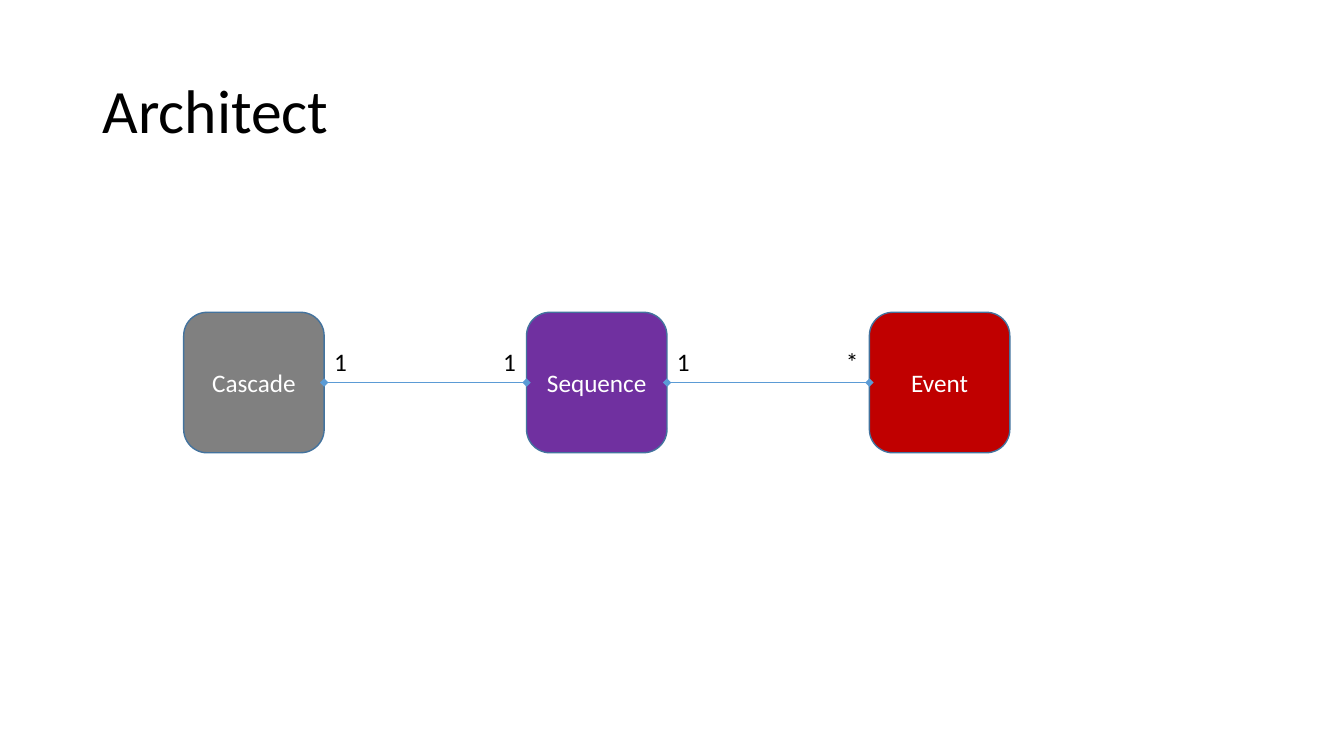
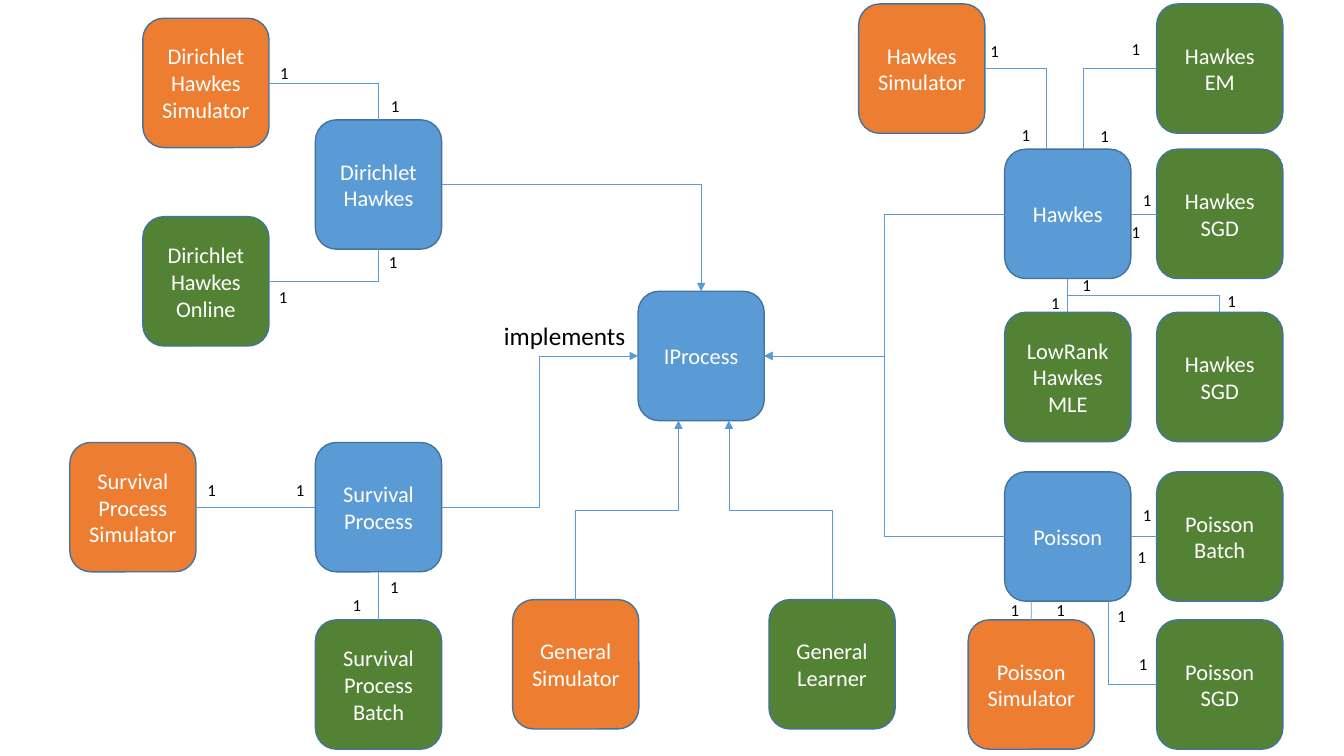
"""Build two slides: a class chain and a map of point process implementations."""
from pptx import Presentation
from pptx.dml.color import RGBColor
from pptx.enum.shapes import MSO_CONNECTOR, MSO_SHAPE
from pptx.enum.text import MSO_ANCHOR, MSO_AUTO_SIZE, PP_ALIGN
from pptx.oxml.ns import qn
from pptx.util import Cm, Pt
from lxml.etree import SubElement

FONT = "Calibri"
COLORS = {
    "process": "5B9BD5", "simulator": "ED7D31", "learner": "548235",
    "cascade": "808080", "sequence": "7030A0", "event": "C00000",
    "outline": "43739E", "link": "5B9BD5", "text": "000000", "box text": "FFFFFF",
}


def add_box(slide, text, left, top, width, height, color, size):
    """Add a rounded box with centred text."""
    box = slide.shapes.add_shape(
        MSO_SHAPE.ROUNDED_RECTANGLE, Cm(left), Cm(top), Cm(width), Cm(height))
    box.shadow.inherit = False
    box.fill.solid()
    box.fill.fore_color.rgb = RGBColor.from_string(COLORS[color])
    box.line.color.rgb = RGBColor.from_string(COLORS["outline"])
    box.line.width = Pt(1)
    box.text_frame.text = text
    box.text_frame.word_wrap = True
    box.text_frame.vertical_anchor = MSO_ANCHOR.MIDDLE
    for paragraph in box.text_frame.paragraphs:
        paragraph.alignment = PP_ALIGN.CENTER
        for run in paragraph.runs:
            run.font.name = FONT
            run.font.size = Pt(size)
            run.font.color.rgb = RGBColor.from_string(COLORS["box text"])


def add_link(slide, start, end, route="straight", head=None, tail=None):
    """Link two points: straight, corner, across (bend midway) or upright (turned across)."""
    (x1, y1), (x2, y2) = start, end
    turn = 1 if (x2 - x1) * (y2 - y1) <= 0 else -1
    if route == "upright":
        middle_x, middle_y = (x1 + x2) / 2, (y1 + y2) / 2
        half_x, half_y = turn * (y2 - y1) / 2, -turn * (x2 - x1) / 2
        x1, x2 = middle_x - half_x, middle_x + half_x
        y1, y2 = middle_y - half_y, middle_y + half_y
    kind = MSO_CONNECTOR.STRAIGHT if route == "straight" else MSO_CONNECTOR.ELBOW
    link = slide.shapes.add_connector(kind, Cm(x1), Cm(y1), Cm(x2), Cm(y2))
    link.line.color.rgb = RGBColor.from_string(COLORS["link"])
    link.line.width = Pt(0.5)
    properties = link._element.spPr
    if route == "corner":
        properties.find(qn("a:prstGeom")).set("prst", "bentConnector2")
    if route == "upright":
        properties.find(qn("a:xfrm")).set("rot", str(turn * 90 % 360 * 60000))
    for tag, arrow in (("a:headEnd", head), ("a:tailEnd", tail)):
        if arrow:
            SubElement(properties.find(qn("a:ln")), qn(tag), type=arrow)
    SubElement(properties, qn("a:effectLst"))


presentation = Presentation()
presentation.slide_width = Cm(33.87)
presentation.slide_height = Cm(19.05)

chain_slide = presentation.slides.add_slide(presentation.slide_layouts[5])
title = chain_slide.shapes.title
title.left, title.top, title.width, title.height = Cm(2.33), Cm(1.01), Cm(29.21), Cm(3.68)
title.text_frame.text = "Architect"
title.text_frame.vertical_anchor = MSO_ANCHOR.MIDDLE
title_paragraph = title.text_frame.paragraphs[0]
title_paragraph.alignment = PP_ALIGN.LEFT
title_paragraph.line_spacing = 0.9
title_font = title_paragraph.runs[0].font
title_font.name = FONT
title_font.size = Pt(44)
title_font.color.rgb = RGBColor.from_string(COLORS["text"])

labels = []
CHAIN_LEFT, CHAIN_TOP, CHAIN_SIDE, CHAIN_STEP = 4.63, 7.87, 3.54, 8.64
for index, name in enumerate(("Cascade", "Sequence", "Event")):
    add_box(chain_slide, name, CHAIN_LEFT + index * CHAIN_STEP, CHAIN_TOP,
            CHAIN_SIDE, CHAIN_SIDE, name.lower(), 18)
for index, (near, far) in enumerate((("1", "1"), ("1", "*"))):
    start = CHAIN_LEFT + index * CHAIN_STEP + CHAIN_SIDE
    end = CHAIN_LEFT + (index + 1) * CHAIN_STEP
    middle = CHAIN_TOP + CHAIN_SIDE / 2
    add_link(chain_slide, (start, middle), (end, middle), head="diamond", tail="diamond")
    labels.append((chain_slide, near, start, 8.61, 0.84, 1.02, 18))
    labels.append((chain_slide, far, end - 0.84, 8.61, 0.84, 1.02, 18))

map_slide = presentation.slides.add_slide(presentation.slide_layouts[6])
WIDTH, HEIGHT = 3.18, 3.26
nodes = {
    "interface": ("IProcess", 16.08, 7.34, "process"),
    "hawkes": ("Hawkes", 25.32, 3.76, "process"),
    "poisson": ("Poisson", 25.32, 11.89, "process"),
    "survival": ("Survival\nProcess", 7.95, 11.15, "process"),
    "dirichlet": ("Dirichlet Hawkes", 7.95, 3.02, "process"),
    "general simulator": ("General Simulator", 12.92, 15.11, "simulator"),
    "general learner": ("General Learner", 19.38, 15.11, "learner"),
    "dirichlet online": ("Dirichlet\nHawkes\vOnline", 3.6, 5.46, "learner"),
    "dirichlet simulator": ("Dirichlet Hawkes\vSimulator", 3.6, 0.46, "simulator"),
    "hawkes em": ("Hawkes\vEM", 29.15, 0.1, "learner"),
    "hawkes sgd": ("Hawkes\vSGD", 29.15, 3.76, "learner"),
    "hawkes lower sgd": ("Hawkes\vSGD", 29.15, 7.87, "learner"),
    "hawkes mle": ("LowRank Hawkes\vMLE", 25.32, 7.87, "learner"),
    "hawkes simulator": ("Hawkes\vSimulator", 21.64, 0.1, "simulator"),
    "poisson batch": ("Poisson\vBatch", 29.15, 11.89, "learner"),
    "poisson simulator": ("Poisson\vSimulator", 24.4, 15.62, "simulator"),
    "poisson sgd": ("Poisson\vSGD", 29.15, 15.62, "learner"),
    "survival batch": ("Survival\nProcess\vBatch", 7.95, 15.62, "learner"),
    "survival simulator": ("Survival\nProcess\vSimulator", 1.76, 11.15, "simulator"),
}
for text, left, top, color in nodes.values():
    add_box(map_slide, text, left, top, WIDTH, HEIGHT, color, 16)

LEFT, RIGHT, TOP, BOTTOM = (0, 0.5), (1, 0.5), (0.5, 0), (0.5, 1)
links = [
    ("dirichlet", RIGHT, "interface", TOP, "corner", "triangle"),
    ("survival", RIGHT, "interface", LEFT, "across", "triangle"),
    ("hawkes", LEFT, "interface", RIGHT, "across", "triangle"),
    ("poisson", LEFT, "interface", RIGHT, "across", "triangle"),
    ("general simulator", TOP, "interface", (0.32, 1), "upright", "triangle"),
    ("general learner", TOP, "interface", (0.72, 1), "upright", "triangle"),
    ("survival", BOTTOM, "survival batch", TOP, "straight", None),
    ("survival simulator", RIGHT, "survival", LEFT, "straight", None),
    ("dirichlet online", RIGHT, "dirichlet", BOTTOM, "corner", None),
    ("dirichlet simulator", RIGHT, "dirichlet", TOP, "corner", None),
    ("hawkes em", LEFT, "hawkes", (0.62, 0), "corner", None),
    ("hawkes simulator", RIGHT, "hawkes", (0.33, 0), "corner", None),
    ("hawkes", RIGHT, "hawkes sgd", LEFT, "straight", None),
    ("hawkes", BOTTOM, "hawkes mle", TOP, "straight", None),
    ("hawkes", BOTTOM, "hawkes lower sgd", TOP, "upright", None),
    ("poisson", RIGHT, "poisson batch", LEFT, "straight", None),
    ("poisson", (0.21, 1), "poisson simulator", TOP, "straight", None),
    ("poisson sgd", LEFT, "poisson", (0.82, 1), "corner", None),
]
for source, source_side, target, target_side, route, arrow in links:
    ends = [(nodes[name][1] + across * WIDTH, nodes[name][2] + down * HEIGHT)
            for name, (across, down) in ((source, source_side), (target, target_side))]
    add_link(map_slide, *ends, route, tail=arrow)

labels.append((map_slide, "implements", 12.45, 7.95, 3.61, 1.02, 18))
ones = [
    (24.71, 0.89), (25.5, 3.02), (27.48, 3.05), (28.27, 0.86), (28.55, 4.65), (28.27, 5.46),
    (30.68, 7.19), (26.24, 7.26), (27.03, 6.81), (28.55, 12.6), (28.42, 13.64), (28.45, 16.36),
    (27.91, 15.14), (25.22, 14.99), (26.37, 14.99), (6.81, 1.45), (9.6, 2.29), (9.55, 6.22),
    (6.78, 7.11), (7.21, 11.96), (4.98, 11.96), (9.58, 14.4), (8.64, 14.86),
]
labels += [(map_slide, "1", left, top, 0.74, 0.77, 12) for left, top in ones]

for slide, text, left, top, width, height, size in labels:
    label = slide.shapes.add_textbox(Cm(left), Cm(top), Cm(width), Cm(height))
    label.text_frame.text = text
    label.text_frame.word_wrap = False
    label.text_frame.auto_size = MSO_AUTO_SIZE.SHAPE_TO_FIT_TEXT
    font = label.text_frame.paragraphs[0].runs[0].font
    font.name = FONT
    font.size = Pt(size)
    font.color.rgb = RGBColor.from_string(COLORS["text"])

presentation.save("out.pptx")
